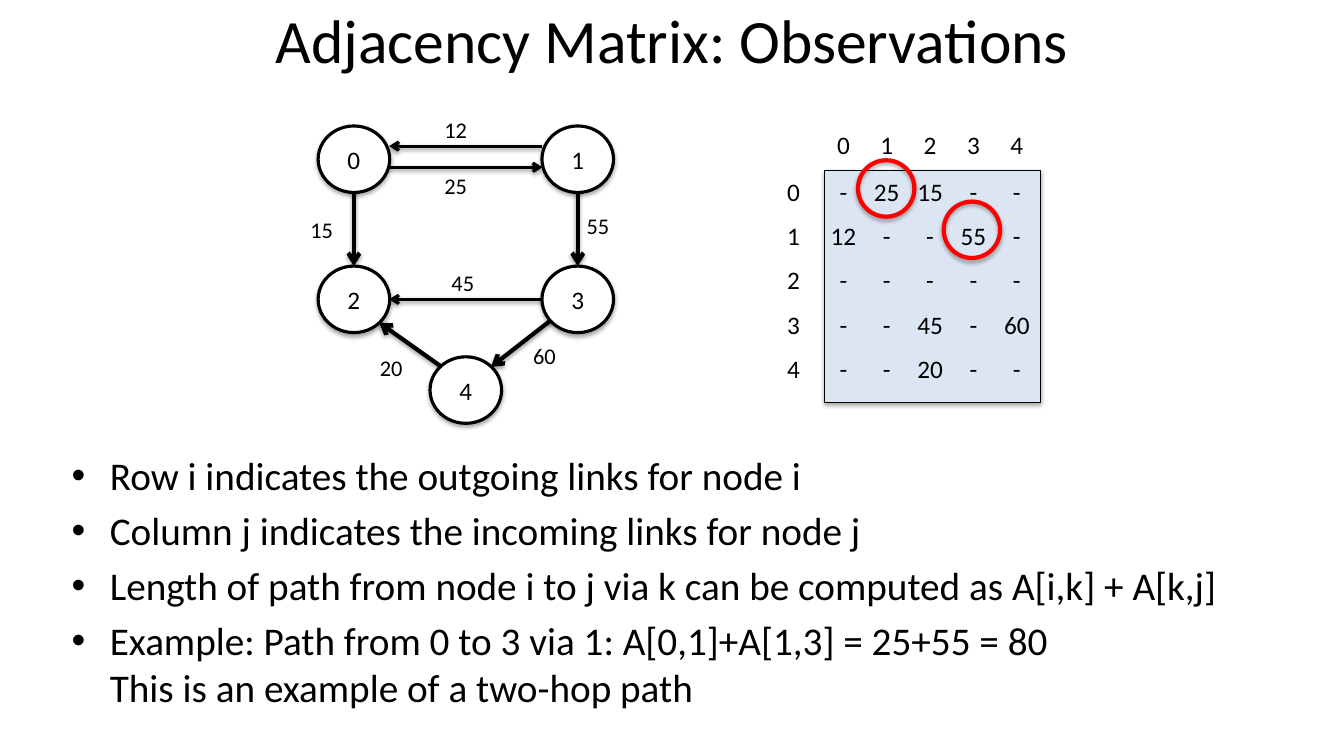
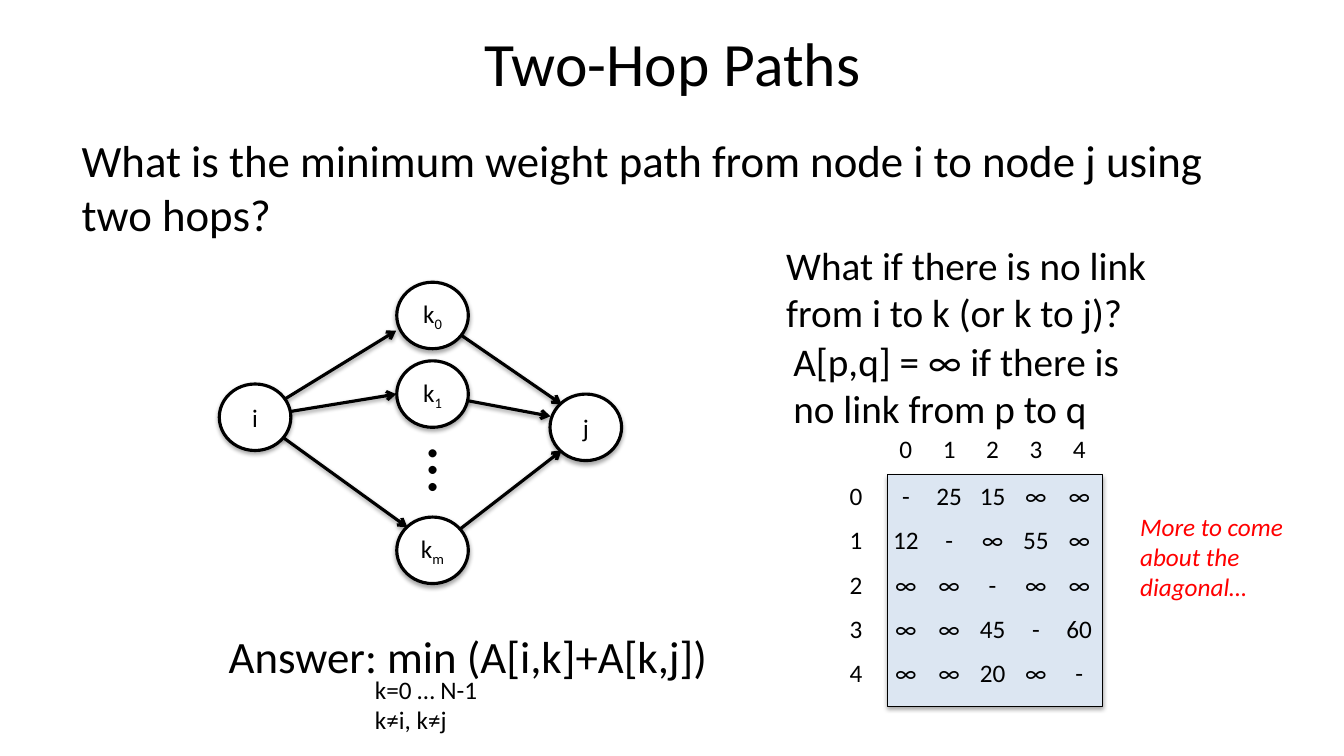
from lxml import etree
from pptx import Presentation
from pptx import util as u
from pptx.dml.color import RGBColor
from pptx.enum import shapes, text
from pptx.oxml import parse_xml

NS = "http://schemas.openxmlformats.org/drawingml/2006/main"
PLAIN_TABLE = "{2D5ABB26-0587-4C30-8999-92F81FD0307C}"
BLACK, WHITE, RED, PALE = "000000", "FFFFFF", "FF0000", "DCE6F2"


def rgb(value):
    return RGBColor.from_string(value)


def apply(target, values):
    for name, value in values.items():
        setattr(target, name, value)


class Deck:
    font = "Calibri"
    node_size = (0.71, 0.66)
    panel_size = (2.14, 2.3)
    label_col, cell_w = 0.56, 0.43
    header_h, cell_h = 0.49, 0.44

    def __init__(self):
        self.prs = Presentation()
        apply(self.prs, {"slide_width": u.Inches(13.33),
                         "slide_height": u.Inches(7.5)})

    def new_slide(self, title, top, height):
        self.s = self.prs.slides.add_slide(self.prs.slide_layouts[1])
        sp = self.s.shapes.title
        self.place(sp, 2.17, top, 9, height)
        self.put_text(sp.text_frame, [title], 44, align="CENTER", anchor="MIDDLE")

    def place(self, sp, x, y, w, h):
        box = zip(("left", "top", "width", "height"), (x, y, w, h))
        apply(sp, {name: u.Inches(value) for name, value in box})

    def style(self, p, size, color=BLACK, italic=None):
        for r in p.runs:
            apply(r.font, {"name": self.font, "size": u.Pt(size), "italic": italic})
            r.font.color.rgb = rgb(color)

    def put_text(self, tf, lines, size, color=BLACK, italic=None, align="LEFT",
                 anchor="TOP", wrap=True, space=0):
        apply(tf, {"word_wrap": wrap, "auto_size": text.MSO_AUTO_SIZE.NONE,
                   "vertical_anchor": text.MSO_ANCHOR[anchor]})
        for i, line in enumerate(lines):
            p = tf.add_paragraph() if i else tf.paragraphs[0]
            p.text = line
            apply(p, {"alignment": text.PP_ALIGN[align],
                      "space_before": u.Pt(space if i else 0)})
            self.style(p, size, color, italic)

    def body(self, lines, box, size, bullet=None):
        sp = self.s.placeholders[1]
        self.place(sp, *box)
        self.put_text(sp.text_frame, lines, size, space=size * 0.2)
        indent = u.Inches(0.38) if bullet else 0
        for p in sp.text_frame.paragraphs:
            pPr = p._p.get_or_add_pPr()
            pPr.set("marL", str(indent))
            pPr.set("indent", str(-indent))
            if bullet:
                etree.SubElement(pPr, f"{{{NS}}}buChar", char=bullet)
            else:
                etree.SubElement(pPr, f"{{{NS}}}buNone")

    def note(self, lines, box, size, rotation=0, **style):
        sp = self.s.shapes.add_textbox(0, 0, 0, 0)
        self.place(sp, *box)
        sp.rotation = rotation
        self.put_text(sp.text_frame, lines, size, **style)

    def weight(self, label, cx, cy):
        self.note([label], (cx - 0.25, cy - 0.18, 0.5, 0.37), 16,
                  align="CENTER", wrap=False)

    def shadow(self, sp, distance, alpha):
        sp._element.spPr.append(parse_xml(
            f'<a:effectLst xmlns:a="{NS}"><a:outerShdw blurRad="40000" '
            f'dist="{distance}" dir="5400000" rotWithShape="0">'
            f'<a:srgbClr val="000000"><a:alpha val="{alpha}"/></a:srgbClr>'
            '</a:outerShdw></a:effectLst>'))

    def shape(self, kind, box, fill, line, width):
        sp = self.s.shapes.add_shape(shapes.MSO_SHAPE[kind], 0, 0, 0, 0)
        self.place(sp, *box)
        if fill:
            sp.fill.solid()
            sp.fill.fore_color.rgb = rgb(fill)
        else:
            sp.fill.background()
        sp.line.color.rgb = rgb(line)
        sp.line.width = u.Pt(width)
        self.shadow(sp, 23000, 35000)
        return sp

    def node(self, label, cx, cy, sub=""):
        w, h = self.node_size
        sp = self.shape("OVAL", (cx - w / 2, cy - h / 2, w, h), WHITE, BLACK, 2.25)
        tf = sp.text_frame
        self.put_text(tf, [label], 18, align="CENTER", anchor="MIDDLE", wrap=False)
        if sub:
            p = tf.paragraphs[0]
            r = p.add_run()
            r.text = sub
            self.style(p, 18)
            r._r.get_or_add_rPr().set("baseline", "-25000")

    def ring(self, x, y):
        self.shape("OVAL", (x, y, 0.56, 0.56), None, RED, 3)

    def arrow(self, start, end, width=2.25):
        ends = [u.Inches(v) for v in (*start, *end)]
        c = self.s.shapes.add_connector(shapes.MSO_CONNECTOR.STRAIGHT, *ends)
        c.line.color.rgb = rgb(BLACK)
        c.line.width = u.Pt(width)
        ln = c._element.spPr.find(f"{{{NS}}}ln")
        etree.SubElement(ln, f"{{{NS}}}tailEnd", type="arrow")
        self.shadow(c, 20000, 38000)

    def matrix(self, x, y, rows):
        self.shape("RECTANGLE", (x, y, *self.panel_size), PALE, BLACK, 0.75)
        n = len(rows)
        grid = [["", *map(str, range(n))]]
        grid += [[str(i), *row.split()] for i, row in enumerate(rows)]
        widths = [self.label_col] + [self.cell_w] * n
        heights = [self.header_h] + [self.cell_h] * n
        frame = self.s.shapes.add_table(
            n + 1, n + 1, u.Inches(x - 0.03 - self.label_col),
            u.Inches(y - self.header_h), u.Inches(sum(widths)),
            u.Inches(sum(heights)))
        table = frame.table
        apply(table, {"first_row": False, "horz_banding": False})
        for style_id in frame._element.iter(f"{{{NS}}}tableStyleId"):
            style_id.text = PLAIN_TABLE
        for column, w in zip(table.columns, widths):
            column.width = u.Inches(w)
        for row, h, values in zip(table.rows, heights, grid):
            row.height = u.Inches(h)
            for cell, value in zip(row.cells, values):
                cell.fill.background()
                apply(cell, {"margin_left": 0, "margin_right": 0,
                             "margin_top": 0, "margin_bottom": 0,
                             "vertical_anchor": text.MSO_ANCHOR.MIDDLE})
                p = cell.text_frame.paragraphs[0]
                p.text = value
                p.alignment = text.PP_ALIGN.CENTER
                self.style(p, 18)


def observations(deck):
    deck.new_slide("Adjacency Matrix: Observations", -0.11, 0.99)
    deck.body(["Row i indicates the outgoing links for node i",
               "Column j indicates the incoming links for node j",
               "Length of path from node i to j via k can be computed as A[i,k] + A[k,j]",
               "Example: Path from 0 to 3 via 1: A[0,1]+A[1,3] = 25+55 = 80\n"
               "This is an example of a two-hop path"],
              (0.61, 4.43, 12, 2.67), 28, bullet="•")
    deck.matrix(8.18, 1.69, ["- 25 15 - -", "12 - - 55 -", "- - - - -",
                             "- - 45 - 60", "- - 20 - -"])
    left, right, upper, lower = 3.51, 5.73, 1.58, 2.97
    for x in (left, right):
        deck.arrow((x, upper), (x, 2.64), 3)
    deck.arrow((3.86, 1.66), (5.38, 1.66))
    for y in (1.45, lower):
        deck.arrow((5.38, y), (3.86, y))
    deck.arrow((right, lower), (4.87, 3.64), 3)
    deck.arrow((4.38, 3.64), (3.76, 3.2), 3)
    centres = [(left, upper), (right, upper), (left, lower), (right, lower),
               (4.62, 3.87)]
    for i, centre in enumerate(centres):
        deck.node(str(i), *centre)
    for label, x, y in (("12", 4.52, 1.28), ("25", 4.52, 1.84), ("15", 3.19, 2.28),
                        ("55", 5.93, 2.24), ("45", 4.59, 2.8), ("60", 5.4, 3.53),
                        ("20", 3.88, 3.64)):
        deck.weight(label, x, y)
    deck.ring(8.51, 1.59)
    deck.ring(9.36, 2)


def two_hop_paths(deck):
    deck.new_slide("Two-Hop Paths", 0.13, 0.96)
    deck.body(["What is the minimum weight path from node i to node j using two hops?"],
              (0.71, 1.27, 12, 1.28), 32)
    deck.note(["Answer: min (A[i,k]+A[k,j])"], (2.17, 6.19, 6.25, 0.64), 32)
    deck.note(["k=0 … N-1", "k≠i, k≠j"], (3.62, 6.64, 1.4, 0.71), 18)
    source, target, middle = (2.53, 4.14), (5.81, 4.24), 4.29
    hops = [("0", 3.13, (3.93, 3.28), (5.57, 4.01)),
            ("1", 3.91, (3.93, 3.91), (5.46, 4.13)),
            ("m", 5.46, (4.04, 5.23), (5.57, 4.47))]
    for sub, y, into, out in hops:
        deck.arrow(source, into)
        deck.arrow((middle, y), out)
    for sub, y, into, out in hops:
        deck.node("k", middle, y, sub)
    deck.node("i", *source)
    deck.node("j", *target)
    deck.note(["…"], (4.19, 4.22, 0.67, 0.91), 48, rotation=90, wrap=False)
    deck.note(["What if there is no link from i to k (or k to j)?"],
              (7.7, 2.34, 3.96, 1.04), 28)
    deck.matrix(8.8, 4.71, ["- 25 15 ∞ ∞", "12 - ∞ 55 ∞", "∞ ∞ - ∞ ∞",
                            "∞ ∞ 45 - 60", "∞ ∞ 20 ∞ -"])
    deck.note(["A[p,q] = ∞ if there is no link from p to q"],
              (7.77, 3.3, 3.77, 1.04), 28)
    deck.note(["More to come about the diagonal…"], (11.21, 5.02, 2, 1.01), 18,
              color=RED, italic=True)


def main():
    deck = Deck()
    observations(deck)
    two_hop_paths(deck)
    deck.prs.save("out.pptx")


if __name__ == "__main__":
    main()
